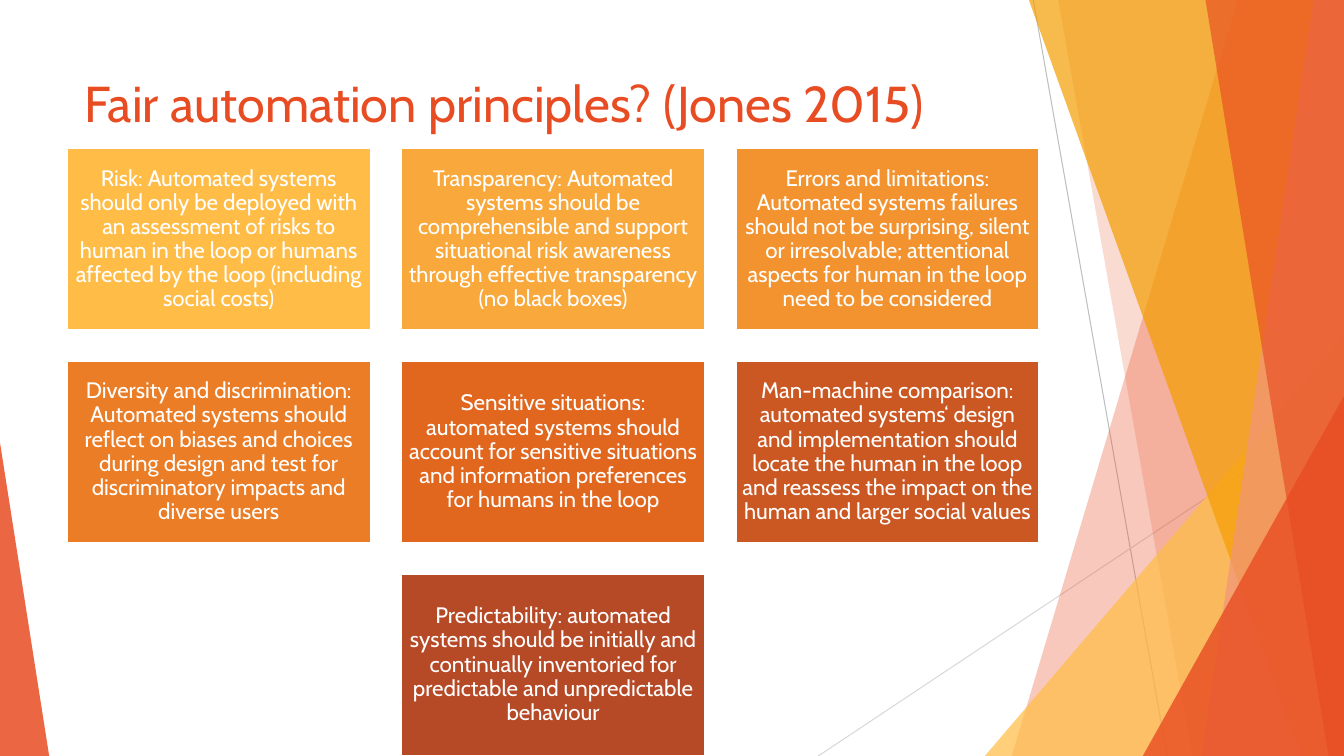
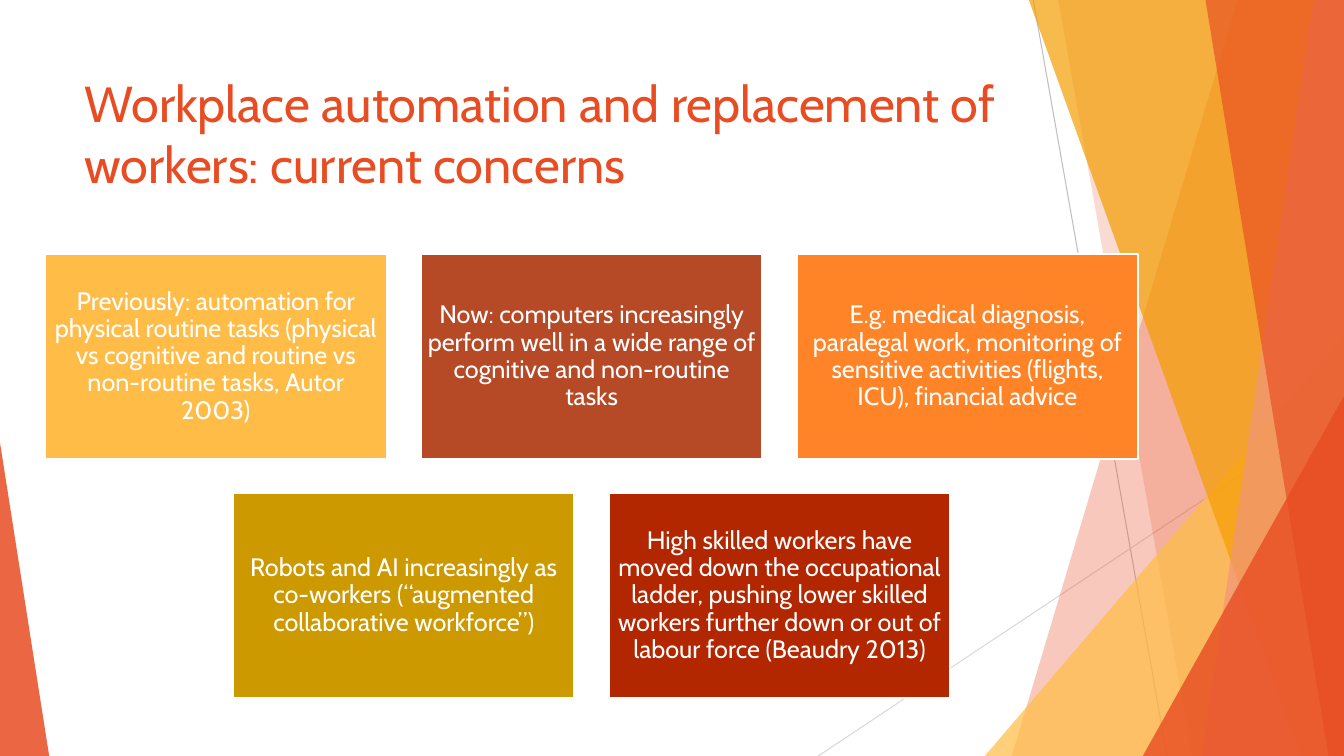
from lxml.etree import SubElement
from pptx import Presentation
from pptx.dml.color import RGBColor as Rgb
from pptx.enum.shapes import MSO_CONNECTOR as Link, MSO_SHAPE as Form
from pptx.enum.text import MSO_ANCHOR as Anchor, PP_ALIGN as Align
from pptx.oxml.ns import qn
from pptx.util import Cm, Pt


class Theme:
    font = "Cabin"
    white = "FFFFFF"
    red = "E84C22"
    gold = "FFBD47"
    amber = "F49D00"
    coral = "F1947A"
    rust = "B64926"
    orange = "FF8427"
    olive = "CC9900"
    brick = "B22600"
    ramp = ["FFBD47", "F9A83B", "F29330", "EB7D26", "E2671E", "CB5722", "B64926"]
    grey = "BFBFBF"
    pale = "D9D9D9"
    title = 36
    large = 18
    small = 16
    hair = 0.75
    edge = 1.5


wide, high = 33.87, 19.05
ratio, gap = 0.6, 0.1

lines = [
    (26.04, 0, 29.41, high, Theme.grey),
    (wide, 10.24, 20.62, high, Theme.pale),
]
bands = [
    ((31.19, 25.5), Theme.red, 30),
    ((26.67, 30.05), Theme.red, 20),
    ((24.82, 8.46, 9.05, 1), Theme.gold, 72),
    ((25.93, 32.79), Theme.amber, 70),
    ((33.1, 30.28), Theme.coral, 70),
    ((30.38, 33.48), Theme.red, 65),
    ((28.8, 9.98, 5.07, 1), Theme.red, 80),
    ((0, 11.15, 1.24, 0), Theme.red, 85),
]

rules = [
    [
        "Risk: Automated systems should only be deployed with an assessment of risks to human in the loop or humans affected by the loop (including social costs)",
        "Transparency: Automated systems should be comprehensible and support situational risk awareness through effective transparency (no black boxes)",
        "Errors and limitations: Automated systems failures should not be surprising, silent or irresolvable; attentional aspects for human in the loop need to be considered",
    ],
    [
        "Diversity and discrimination: Automated systems should reflect on biases and choices during design and test for discriminatory impacts and diverse users",
        "Sensitive situations: automated systems should account for sensitive situations and information preferences for humans in the loop",
        "Man-machine comparison: automated systems‘ design and implementation should locate the human in the loop and reassess the impact on the human and larger social values",
    ],
    [
        "Predictability: automated systems should be initially and continually inventoried for predictable and unpredictable behaviour",
    ],
]
fears = [
    [
        "Previously: automation for physical routine tasks (physical vs cognitive and routine vs non-routine tasks, Autor 2003)",
        "Now: computers increasingly perform well in a wide range of cognitive and non-routine tasks",
        "E.g. medical diagnosis, paralegal work, monitoring of sensitive activities (flights, ICU), financial advice",
    ],
    [
        "Robots and AI increasingly as co-workers (“augmented collaborative workforce”)",
        "High skilled workers have moved down the occupational ladder, pushing lower skilled workers further down or out of labour force (Beaudry 2013)",
    ],
]
hues = [Theme.gold, Theme.rust, Theme.orange, Theme.olive, Theme.brick]
pages = [
    ("Fair automation principles? (Jones 2015)",
     rules, Theme.ramp, Theme.small, 7.66, 13.94, 3.73),
    ("Workplace automation and replacement of workers: current concerns",
     fears, hues, Theme.large, 8.61, 14.91, 6.4),
]


def paint(shape, ink):
    shape.shadow.inherit = False
    shape.fill.solid()
    shape.fill.fore_color.rgb = Rgb.from_string(ink)
    shape.line.fill.background()


def write(frame, text, size, ink):
    frame.word_wrap = True
    para = frame.paragraphs[0]
    para.text = text
    para.font.name = Theme.font
    para.font.size = Pt(size)
    para.font.color.rgb = Rgb.from_string(ink)
    return para


deck = Presentation()
deck.slide_width, deck.slide_height = Cm(wide), Cm(high)

for title, rows, inks, size, width, mid, top in pages:
    shapes = deck.slides.add_slide(deck.slide_layouts[6]).shapes

    for x1, y1, x2, y2, ink in lines:
        line = shapes.add_connector(Link.STRAIGHT, Cm(x1), Cm(y1), Cm(x2), Cm(y2))
        line.line.color.rgb = Rgb.from_string(ink)
        line.line.width = Pt(Theme.hair)
        SubElement(line._element.spPr, qn("a:effectLst"))

    for place, ink, alpha in bands:
        if len(place) == 2:
            head, foot = place
            pen = shapes.build_freeform(Cm(head), 0)
            ends = [(wide, 0), (wide, high), (foot, high)]
            pen.add_line_segments([(Cm(x), Cm(y)) for x, y in ends], close=True)
            band = pen.convert_to_shape()
        else:
            left, peak, span, tip = place
            band = shapes.add_shape(Form.ISOSCELES_TRIANGLE, Cm(left), Cm(peak),
                                    Cm(span), Cm(high - peak))
            band.adjustments[0] = tip
        paint(band, ink)
        tint = next(band._element.spPr.iter(qn("a:srgbClr")))
        SubElement(tint, qn("a:alpha"), val=str(alpha * 1000))

    box = shapes.add_textbox(Cm(1.88), Cm(1.7), Cm(23.88), Cm(3.66))
    write(box.text_frame, title, Theme.title, Theme.red)

    tall = width * ratio
    step = width * (1 + gap)
    hue = iter(inks)
    for down, row in enumerate(rows):
        start = mid - (step * (len(row) - 1) + width) / 2
        for over, text in enumerate(row):
            card = shapes.add_shape(Form.RECTANGLE, Cm(start + over * step),
                                    Cm(top + down * (tall + width * gap)),
                                    Cm(width), Cm(tall))
            paint(card, next(hue))
            card.line.color.rgb = Rgb.from_string(Theme.white)
            card.line.width = Pt(Theme.edge)
            frame = card.text_frame
            frame.margin_left = frame.margin_right = Cm(0.17)
            frame.margin_top = frame.margin_bottom = Cm(0.17)
            frame.vertical_anchor = Anchor.MIDDLE
            para = write(frame, text, size, Theme.white)
            para.alignment = Align.CENTER
            para.line_spacing = 0.9

deck.save("out.pptx")
